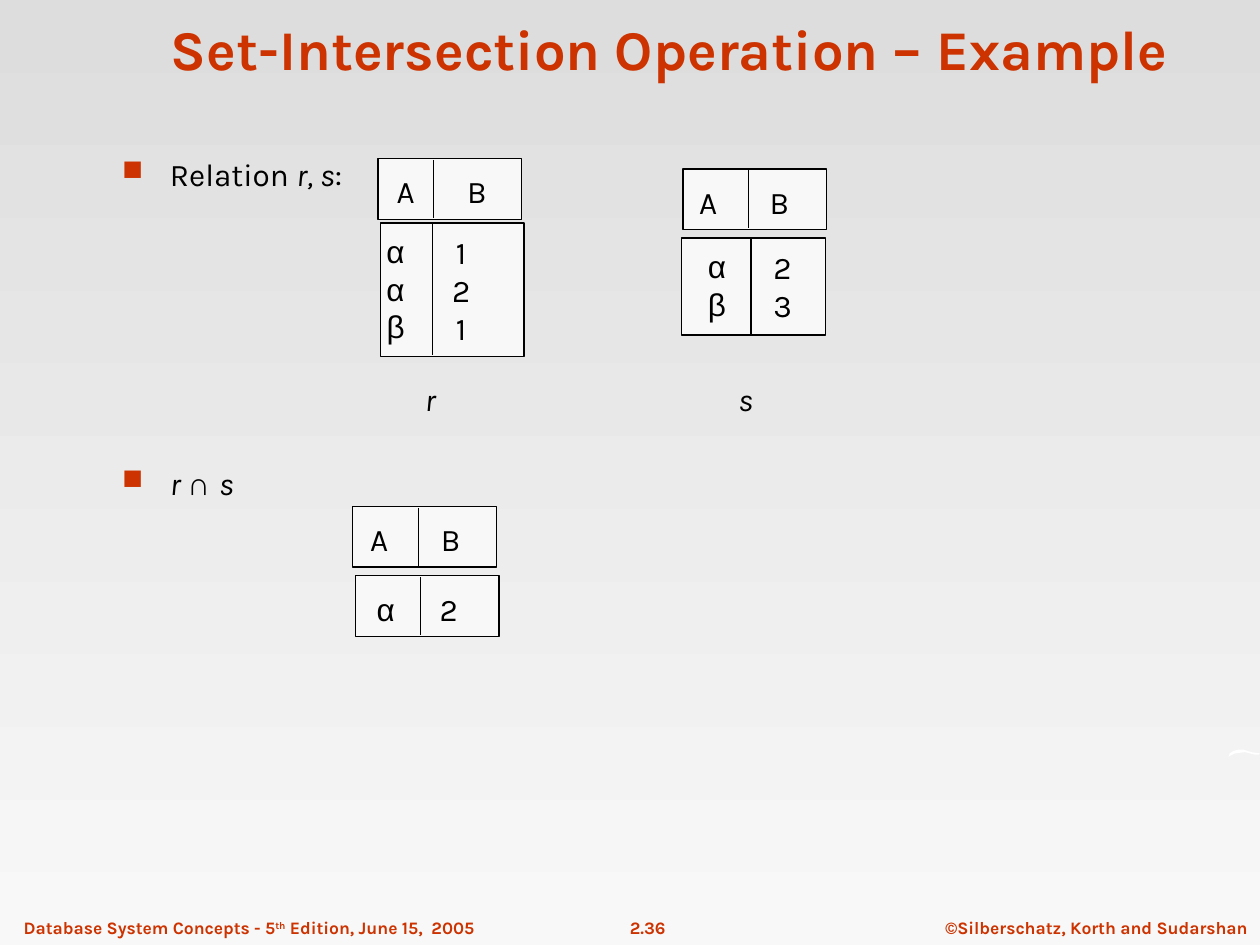
from lxml import etree
from pptx import Presentation
from pptx.dml.color import RGBColor
from pptx.enum.shapes import MSO_CONNECTOR, MSO_SHAPE
from pptx.enum.text import MSO_ANCHOR, PP_ALIGN
from pptx.oxml.ns import qn
from pptx.util import Inches, Pt

LEFT, CENTER = PP_ALIGN.LEFT, PP_ALIGN.CENTER
TOP, BOTTOM = MSO_ANCHOR.TOP, MSO_ANCHOR.BOTTOM
RECT, LINE = MSO_SHAPE.RECTANGLE, MSO_CONNECTOR.STRAIGHT
COLORS = {"red": "CC3300", "ink": "000000", "cell": "F8F8F8",
          "top": "DDDDDD", "white": "FFFFFF"}
BODY = {"name": "Karla", "size": Pt(18)}
GREEK = {**BODY, "name": "Arial"}
SLANT = {**BODY, "italic": True}
TITLE = {"name": "Karla", "size": Pt(32), "bold": True}
FOOT = {**TITLE, "size": Pt(10)}


def rgb(key):
    """Return the named colour."""
    return RGBColor.from_string(COLORS[key])


def add_sub(parent, tag, **attrs):
    """Append a drawing element with attributes and return it."""
    node = etree.SubElement(parent, qn(tag))
    for key, val in attrs.items():
        node.set(key, str(val))
    return node


def add_text(slide, box, paras, color="ink", align=CENTER, anchor=TOP,
             wrap=False, tab=None):
    """Place paragraphs of (text, format) runs in a box."""
    frame = slide.shapes.add_textbox(*map(Inches, box)).text_frame
    frame.word_wrap, frame.vertical_anchor = wrap, anchor
    for num, runs in enumerate(paras):
        para = frame.add_paragraph() if num else frame.paragraphs[0]
        para.alignment = align
        if tab:
            tabs = add_sub(para._p.get_or_add_pPr(), "a:tabLst")
            add_sub(tabs, "a:tab", pos=Inches(tab), algn="l")
        for text, form in runs:
            run = para.add_run()
            run.text = text
            run.font.color.rgb = rgb(color)
            for key, val in form.items():
                setattr(run.font, key, val)
    return frame


def add_rule(slide, x, top, bottom):
    """Draw a thin upright line."""
    rule = slide.shapes.add_connector(
        LINE, Inches(x), Inches(top), Inches(x), Inches(bottom))
    rule.line.color.rgb, rule.line.width = rgb("ink"), Pt(0.75)
    add_sub(rule._element.spPr, "a:effectLst")


def add_cells(slide, box, split):
    """Draw a bordered box divided in two columns."""
    left, top, _, high = box
    rect = slide.shapes.add_shape(RECT, *map(Inches, box))
    rect.shadow.inherit = False
    rect.fill.solid()
    rect.fill.fore_color.rgb = rgb("cell")
    rect.line.color.rgb, rect.line.width = rgb("ink"), Pt(0.75)
    add_rule(slide, left + split, top + 0.01, top + high - 0.01)


def add_head(slide, left, top, split, pad):
    """Draw the header cells A and B."""
    add_cells(slide, (left, top, 1.14, 0.48), split)
    add_text(slide, (left + pad, top + 0.06, 0.97, 0.4),
             [[("A\tB", BODY)]], align=LEFT, tab=0.56)


def add_rows(slide, box, split, pad, rows):
    """Draw the data cells with a letter and a number column."""
    left, top, _, _ = box
    add_cells(slide, box, split)
    high = 0.1 + 0.3 * len(rows)
    for col, (dx, dy, wide, form) in enumerate(
            [(pad, 0.02, 0.36, GREEK), (pad + 0.53, 0.03, 0.34, BODY)]):
        add_text(slide, (left + dx, top + dy, wide, high),
                 [[(row[col], form)] for row in rows])


def add_pair(slide, box, pad, row):
    """Draw a single data row as one tabbed line."""
    left, top, wide, high = box
    add_cells(slide, box, 0.52)
    add_text(slide, (left + pad, top + 0.06, wide - pad, 0.4),
             [[(row[0], GREEK), ("\t" + row[1], BODY)]], align=LEFT, tab=0.5)


def add_list(slide, box):
    """Write the two bulleted statements."""
    frame = add_text(slide, box, [
        [("Relation ", BODY), ("r, s", SLANT), (":", BODY)],
        [("r ", SLANT), ("∩ ", GREEK), ("s", SLANT)],
    ], align=LEFT, wrap=True)
    frame.paragraphs[1].space_before = Pt(155)
    for para in frame.paragraphs:
        props = para._p.get_or_add_pPr()
        props.set("marL", str(Inches(0.38)))
        props.set("indent", str(-Inches(0.38)))
        tint = add_sub(props, "a:buClr")
        add_sub(tint, "a:srgbClr", val=COLORS["red"])
        add_sub(props, "a:buSzPct", val=90000)
        add_sub(props, "a:buChar", char="■")


def add_foot(slide, top):
    """Write the footer line."""
    frame = add_text(slide, (0.09, top, 3.87, 0.27), [
        [("Database System Concepts - 5", FOOT), ("th", FOOT),
         (" Edition, June 15,  2005", FOOT)]], "red", LEFT)
    mark = frame.paragraphs[0].runs[1]
    mark._r.get_or_add_rPr().set("baseline", "30000")
    add_text(slide, (4.63, top, 1.02, 0.29), [[("2.36", FOOT)]], "red")
    add_text(slide, (7.36, top, 2.68, 0.27),
             [[("©Silberschatz, Korth and Sudarshan", FOOT)]], "red")


def add_swash(slide, left, top):
    """Draw the small white stroke at the right edge."""
    spots = [(0, 0.06), (0.01, 0.03), (0.04, 0.01), (0.08, 0), (0.12, 0),
             (0.18, 0.02), (0.25, 0.03), (0.24, 0.04), (0.21, 0.04),
             (0.13, 0.02), (0.05, 0.03), (0.01, 0.05)]
    spots = [(Inches(left + x), Inches(top + y)) for x, y in spots]
    pen = slide.shapes.build_freeform(*spots[0])
    pen.add_line_segments(spots[1:], close=True)
    swash = pen.convert_to_shape()
    swash.shadow.inherit = False
    swash.fill.solid()
    swash.fill.fore_color.rgb = rgb("white")
    swash.line.fill.background()


def main():
    """Build and save the slide."""
    deck = Presentation()
    deck.slide_width, deck.slide_height = Inches(10), Inches(7.5)
    slide = deck.slides.add_slide(deck.slide_layouts[6])
    fill = slide.background.fill
    fill.gradient()
    fill.gradient_angle = 270
    for stop, key in zip(fill.gradient_stops, ("top", "cell")):
        stop.color.rgb = rgb(key)
    add_foot(slide, 7.23)
    add_swash(slide, 9.75, 5.95)
    add_text(slide, (0.9, 0.03, 8.83, 0.67),
             [[("Set-Intersection Operation – Example", TITLE)]],
             "red", anchor=BOTTOM, wrap=True)
    add_list(slide, (0.87, 1.18, 8.58, 5.33))
    add_head(slide, 3, 1.26, 0.44, 0.05)
    add_rows(slide, (3.02, 1.77, 1.14, 1.06), 0.41, -0.06,
             [("α", "1"), ("α", "2"), ("β", "1")])
    add_head(slide, 5.42, 1.34, 0.52, 0.03)
    add_rows(slide, (5.41, 1.89, 1.14, 0.77), 0.55, 0.1,
             [("α", "2"), ("β", "3")])
    for left, name in ((3.26, "r"), (5.76, "s")):
        add_text(slide, (left, 2.97, 0.31, 0.4), [[(name, SLANT)]])
    add_head(slide, 2.8, 4.02, 0.52, 0.04)
    add_pair(slide, (2.82, 4.57, 1.14, 0.48), 0.07, ("α", "2"))
    deck.save("out.pptx")


if __name__ == "__main__":
    main()
